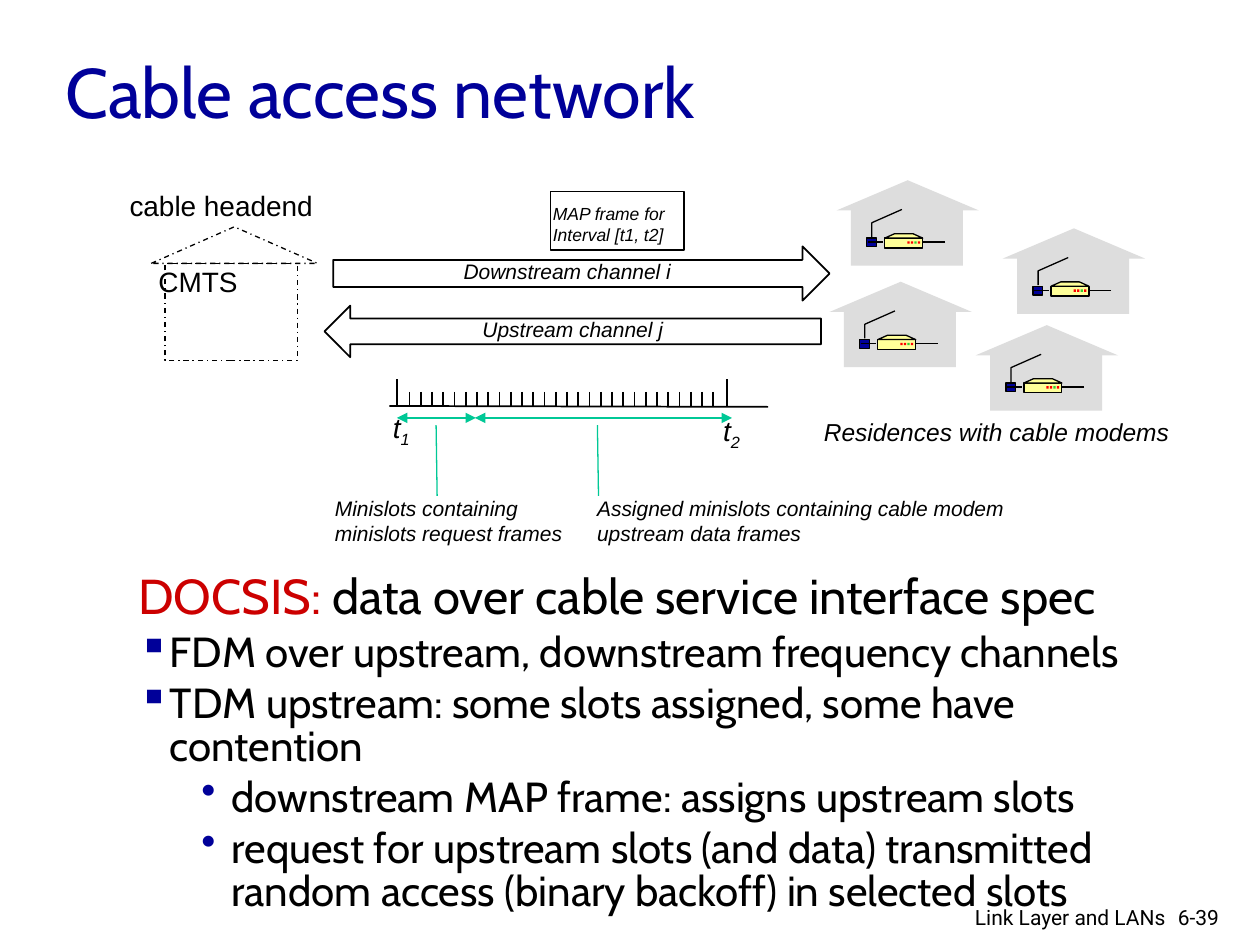
from dataclasses import dataclass, field
from typing import Any, Optional

from lxml.etree import SubElement
from pptx import Presentation
from pptx.dml.color import RGBColor
from pptx.enum.dml import MSO_LINE
from pptx.enum.shapes import MSO_CONNECTOR, MSO_SHAPE as Preset
from pptx.enum.text import MSO_ANCHOR as Anchor, PP_ALIGN as Align
from pptx.oxml.ns import qn
from pptx.util import Pt

BLACK = RGBColor(0x00, 0x00, 0x00)
NAVY = RGBColor(0x00, 0x00, 0x99)
CRIMSON = RGBColor(0xCC, 0x00, 0x00)
TEAL = RGBColor(0x00, 0xC8, 0x96)
GREY = RGBColor(0xDD, 0xDD, 0xDD)
YELLOW = RGBColor(0xFF, 0xFF, 0x99)
RED = RGBColor(0xFF, 0x00, 0x00)
GREEN = RGBColor(0x33, 0xCC, 0x33)

Box = tuple[float, float, float, float]
Point = tuple[float, float]


@dataclass
class Run:
    text: str
    color: RGBColor = BLACK
    baseline: int = 0
    formats: dict[str, Any] = field(default_factory=dict)


@dataclass
class Paragraph:
    runs: list[Run]
    formats: dict[str, Any] = field(default_factory=dict)
    bullet: str = ""
    margin: float = 0
    hanging: float = 0


@dataclass
class Label:
    box: Box
    lines: list[str]
    font: dict[str, Any]
    color: RGBColor = BLACK
    formats: dict[str, Any] = field(default_factory=dict)
    anchor: Anchor = Anchor.TOP
    subscript: str = ""


def set_all(target: Any, formats: dict[str, Any]) -> None:
    for name, value in formats.items():
        setattr(target, name, value)


def add_text(slide: Any, box: Box, paragraphs: list[Paragraph], anchor: Anchor = Anchor.TOP) -> None:
    frame = slide.shapes.add_textbox(*map(Pt, box)).text_frame
    set_all(frame, {"word_wrap": True, "vertical_anchor": anchor})
    for index, item in enumerate(paragraphs):
        paragraph = frame.add_paragraph() if index else frame.paragraphs[0]
        set_all(paragraph, item.formats)
        if item.bullet:
            properties = paragraph._p.get_or_add_pPr()
            properties.set("marL", str(Pt(item.margin)))
            properties.set("indent", str(-Pt(item.hanging)))
            bullet_color = SubElement(properties, qn("a:buClr"))
            SubElement(bullet_color, qn("a:srgbClr"), val=str(NAVY))
            SubElement(properties, qn("a:buChar"), char=item.bullet)
        for part in item.runs:
            run = paragraph.add_run()
            run.text = part.text
            set_all(run.font, part.formats)
            run.font.color.rgb = part.color
            if part.baseline:
                run._r.get_or_add_rPr().set("baseline", str(part.baseline))


def add_label(slide: Any, label: Label) -> None:
    paragraphs = [Paragraph([Run(line, label.color, 0, label.font)], label.formats) for line in label.lines]
    if label.subscript:
        paragraphs[0].runs.append(Run(label.subscript, label.color, -25000, label.font))
    add_text(slide, label.box, paragraphs, label.anchor)


def style_shape(shape: Any, fill: Optional[RGBColor], line: Optional[RGBColor],
                width: float, dash: Optional[MSO_LINE] = None) -> None:
    shape.shadow.inherit = False
    if fill is None:
        shape.fill.background()
    else:
        shape.fill.solid()
        shape.fill.fore_color.rgb = fill
    if line is None:
        shape.line.fill.background()
    else:
        shape.line.color.rgb = line
        set_all(shape.line, {"width": Pt(width), "dash_style": dash})


def add_preset(slide: Any, preset: Preset, box: Box, fill: Optional[RGBColor] = None,
               line: Optional[RGBColor] = None, width: float = 0.75, dash: Optional[MSO_LINE] = None) -> None:
    style_shape(slide.shapes.add_shape(preset, *map(Pt, box)), fill, line, width, dash)


def add_outline(slide: Any, points: list[Point], fill: Optional[RGBColor], close: bool) -> None:
    corners = [(Pt(x), Pt(y)) for x, y in points]
    builder = slide.shapes.build_freeform(*corners[0])
    builder.add_line_segments(corners[1:], close=close)
    style_shape(builder.convert_to_shape(), fill, BLACK, 0.75)


def add_line(slide: Any, start: Point, end: Point, color: RGBColor = BLACK,
             width: float = 0.75, arrows: bool = False) -> None:
    line = slide.shapes.add_connector(MSO_CONNECTOR.STRAIGHT, *map(Pt, (*start, *end)))
    line.line.color.rgb = color
    line.line.width = Pt(width)
    SubElement(line._element.spPr, qn("a:effectLst"))
    if arrows:
        for tag in ("a:headEnd", "a:tailEnd"):
            SubElement(line.line._get_or_add_ln(), qn(tag), type="triangle")


def add_residence(slide: Any, left: float, top: float) -> None:
    def area(x: float, y: float, width: float, height: float) -> Box:
        return left + x, top + y, width, height

    def at(*points: Point) -> list[Point]:
        return [(left + x, top + y) for x, y in points]

    add_preset(slide, Preset.ISOSCELES_TRIANGLE, area(0, 0, 81.4, 17.3), GREY)
    add_preset(slide, Preset.RECTANGLE, area(8.3, 15.1, 64, 33.8), GREY)
    add_line(slide, *at((62, 35.3), (49, 35.3)))
    add_preset(slide, Preset.RECTANGLE, area(27.6, 33.1, 21.7, 5.6), YELLOW, BLACK)
    for index, color in enumerate((RED, RED, GREEN, RED)):
        add_preset(slide, Preset.RECTANGLE, area(40.5 + 2 * index, 34.9, 1.3, 1.4), color)
    add_outline(slide, at((27.6, 33.1), (33.2, 30.6), (43.8, 30.6), (49.3, 33.1)), YELLOW, True)
    add_preset(slide, Preset.RECTANGLE, area(17.3, 33.1, 5.6, 5), NAVY, BLACK)
    add_outline(slide, at((20.2, 32.4), (20.2, 24.3), (37.4, 16.7)), None, False)
    add_line(slide, *at((18, 35.3), (26.6, 35.3)))


def add_timeline(slide: Any) -> None:
    axis = 232
    add_line(slide, (222.5, axis), (439, axis + 0.5), width=1)
    for x in (226.8, 415.4):
        add_line(slide, (x, 216.7), (x, axis), width=1)
    for index in range(28):
        x = 234 + 6.43 * index
        add_line(slide, (x, 224), (x, axis), width=1)
    for start, end in ((226.8, 272), (271.4, 418.3)):
        add_line(slide, (start, 238.8), (end, 238.8), TEAL, arrows=True)
    for x in (249.2, 341.4):
        add_line(slide, (x, 243), (x + 0.6, 283.3), TEAL)


def italic(size: float) -> dict[str, Any]:
    return {"name": "Arial", "size": Pt(size), "italic": True}


def plain(name: str, size: float) -> dict[str, Any]:
    return {"name": name, "size": Pt(size)}


LABELS = [
    Label((308.9, 112.3, 81.4, 31.7), ["MAP frame for", "Interval [t1, t2]"], italic(10),
          formats={"line_spacing": Pt(12)}),
    Label((463.7, 234.7, 216.7, 24.5), ["Residences with cable modems"], italic(14)),
    Label((257.8, 144, 137.5, 21.6), ["Downstream channel i"], italic(12)),
    Label((268.6, 177.1, 121.7, 21.6), ["Upstream channel j"], italic(12)),
    Label((217.4, 231.1, 28.1, 26.6), ["t"], italic(16), subscript="1"),
    Label((406.1, 232.6, 28.1, 26.6), ["t"], italic(16), subscript="2"),
    Label((334.1, 279.4, 252.7, 36), ["Assigned minislots containing cable modem", "upstream data frames"], italic(12)),
    Label((184.3, 279.4, 149, 36), ["Minislots containing", "minislots request frames"], italic(12)),
    Label((50.4, 108, 151.9, 22.3), ["cable headend"], plain("Arial", 16),
          formats={"alignment": Align.CENTER, "line_spacing": 0.8}),
    Label((83.5, 147.6, 74.9, 26.6), ["CMTS"], plain("Arial", 16)),
    Label((30.2, 18.7, 442.8, 65.5), ["Cable access network"], plain("Cabin", 40), NAVY, anchor=Anchor.MIDDLE),
    Label((666, 513.4, 43.2, 21.6), ["6-39"], plain("Roboto", 12)),
    Label((501.8, 513.4, 171.4, 18.7), ["Link Layer and LANs"], plain("Roboto", 12),
          formats={"alignment": Align.RIGHT}),
]
BULLETS = [
    ("▪", 18, 18, "FDM over upstream, downstream frequency channels"),
    ("▪", 18, 18, "TDM upstream: some slots assigned, some have contention"),
    ("•", 53.3, 17.3, "downstream MAP frame: assigns upstream slots"),
    ("•", 53.3, 17.3, "request for upstream slots (and data) transmitted random access (binary backoff) in selected slots"),
]
RESIDENCES = [(478, 103), (573, 130.5), (557.5, 185.8), (474, 161)]


def add_body(slide: Any) -> None:
    heading = plain("Cabin", 28)
    paragraphs = [Paragraph([Run("DOCSIS: ", CRIMSON, 0, heading),
                             Run("data over cable service interface spec", BLACK, 0, heading)],
                            {"line_spacing": 0.85})]
    for bullet, margin, hanging, text in BULLETS:
        paragraphs.append(Paragraph([Run(text, formats=plain("Cabin", 24))],
                                    {"line_spacing": 0.85, "space_before": Pt(4.8), "level": int(bullet == "•")},
                                    bullet, margin, hanging))
    add_text(slide, (72, 324.7, 617, 180), paragraphs)


def main() -> None:
    presentation = Presentation()
    set_all(presentation, {"slide_width": Pt(720), "slide_height": Pt(540)})
    slide = presentation.slides.add_slide(presentation.slide_layouts[6])
    add_body(slide)
    add_preset(slide, Preset.RECTANGLE, (314.6, 109.4, 76.3, 33.5), None, BLACK, 1)
    add_preset(slide, Preset.RIGHT_ARROW, (190.4, 140.8, 283.7, 31), None, BLACK, 1)
    add_preset(slide, Preset.LEFT_ARROW, (185.4, 174.6, 283.7, 29.5), None, BLACK, 1)
    add_preset(slide, Preset.RECTANGLE, (94.3, 150.5, 75.6, 55.4), None, BLACK, dash=MSO_LINE.DASH_DOT)
    add_preset(slide, Preset.ISOSCELES_TRIANGLE, (86.4, 129.6, 95, 20.9), None, BLACK, dash=MSO_LINE.DASH_DOT)
    add_timeline(slide)
    for left, top in RESIDENCES:
        add_residence(slide, left, top)
    for label in LABELS:
        add_label(slide, label)
    presentation.save("out.pptx")


if __name__ == "__main__":
    main()
